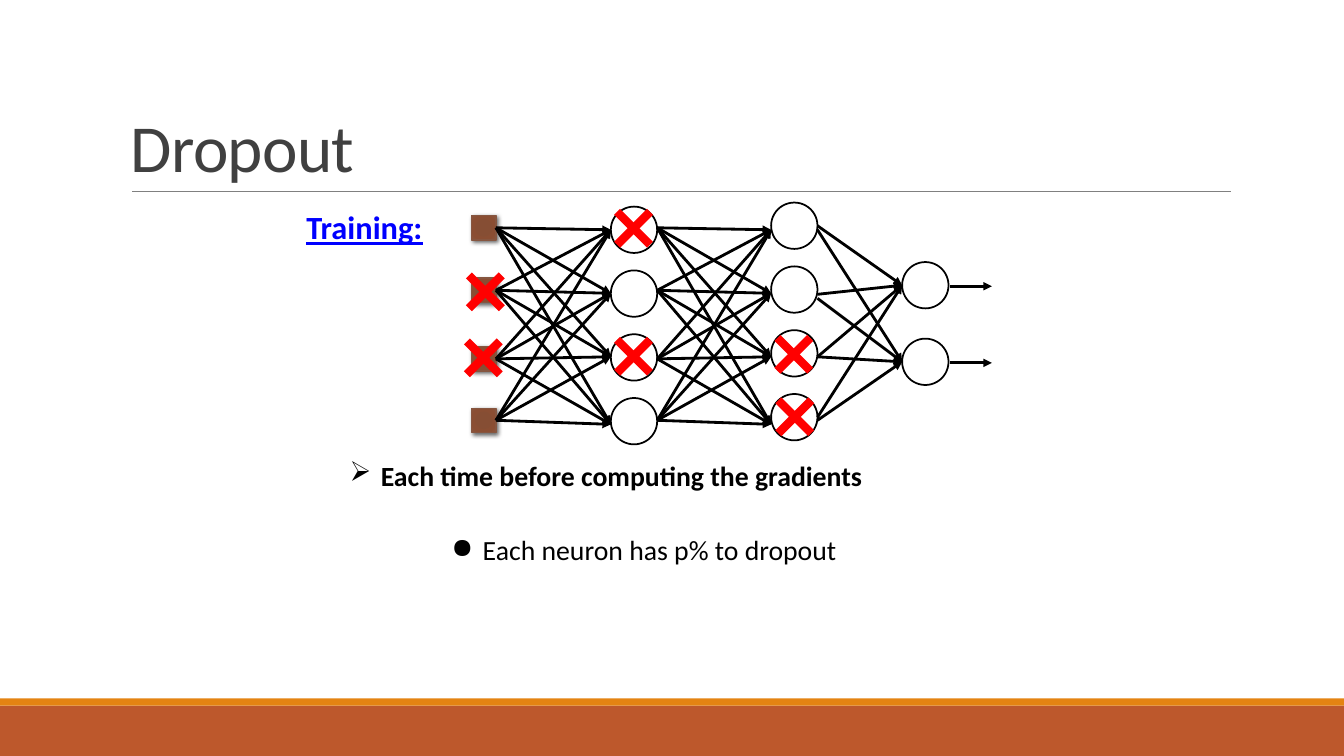
from itertools import product
from lxml.etree import SubElement
from pptx import Presentation
from pptx.dml.color import RGBColor
from pptx.enum.shapes import MSO_CONNECTOR, MSO_SHAPE
from pptx.enum.text import MSO_ANCHOR
from pptx.oxml import parse_xml
from pptx.oxml.ns import nsdecls, qn
from pptx.util import Inches, Pt

COLS, ROWS = 133.33, 75
INK = {"black": "000000", "gray": "404040", "rule": "808080", "blue": "0000FF",
       "red": "FF0000", "rust": "BD582C", "gold": "E48312", "edge": "865640"}
BROWN = {0: "874C32", 34: "864E34", 70: "8A4E33", 100: "8A553D"}


class Deck:
    """Draws on one slide; all places are columns and rows of its grid."""

    def __init__(self):
        self.file = Presentation()
        self.file.slide_width = Inches(13.33)
        self.file.slide_height = Inches(7.5)
        self.slide = self.file.slides.add_slide(self.file.slide_layouts[6])
        self.font = "Calibri"

    def x(self, col):
        return round(self.file.slide_width * col / COLS)

    def y(self, row):
        return round(self.file.slide_height * row / ROWS)

    def shape(self, kind, left, top, wide, high, fill=None, edge=None, width=1):
        item = self.slide.shapes.add_shape(
            kind, self.x(left), self.y(top), self.x(wide), self.y(high))
        item.shadow.inherit = False
        if fill:
            item.fill.solid()
            item.fill.fore_color.rgb = RGBColor.from_string(INK[fill])
        else:
            item.fill.background()
        if edge:
            item.line.color.rgb = RGBColor.from_string(INK[edge])
            item.line.width = Pt(width)
        else:
            item.line.fill.background()
        return item

    def node(self, left, top):
        return self.shape(MSO_SHAPE.OVAL, left, top, 4.6, 4.6, edge="black", width=1.25)

    def input(self, left, mid):
        """Brown square with a soft shadow, centred on row mid."""
        item = self.shape(MSO_SHAPE.RECTANGLE, left, mid - 1.2, 2.4, 2.4, edge="edge")
        props = item._element.spPr
        stops = "".join(f'<a:gs pos="{pos * 1000}"><a:srgbClr val="{ink}"/></a:gs>'
                        for pos, ink in BROWN.items())
        blend = parse_xml(
            f'<a:gradFill {nsdecls("a")}><a:gsLst>{stops}</a:gsLst><a:path path="circle">'
            '<a:fillToRect l="100000" t="100000" r="100000" b="100000"/>'
            '</a:path></a:gradFill>')
        props.replace(props.find(qn("a:noFill")), blend)
        props.find(qn("a:effectLst")).append(parse_xml(
            f'<a:outerShdw {nsdecls("a")} blurRad="{Pt(3)}" dist="{Pt(2)}" dir="2700000">'
            '<a:srgbClr val="000000"><a:alpha val="60000"/></a:srgbClr></a:outerShdw>'))
        return item

    def line(self, start, end, ink="black", width=2, head=True, owner=None):
        item = (owner or self.slide).shapes.add_connector(
            MSO_CONNECTOR.STRAIGHT, self.x(start[0]), self.y(start[1]),
            self.x(end[0]), self.y(end[1]))
        item.line.color.rgb = RGBColor.from_string(INK[ink])
        item.line.width = Pt(width)
        if head:
            SubElement(item.line._ln, qn("a:tailEnd"), type="triangle")
        SubElement(item._element.spPr, qn("a:effectLst"))
        return item

    def cross(self, col, row, arm=1.63):
        group = self.slide.shapes.add_group_shape()
        for side in (-arm, arm):
            self.line((col + side, row - arm), (col - side, row + arm),
                      "red", 6, False, group)

    def text(self, words, left, top, wide, high, size=19.8, ink="black", bold=False,
             under=False, bullet=None, anchor=MSO_ANCHOR.TOP, lead=None, track=None):
        box = self.slide.shapes.add_textbox(
            self.x(left), self.y(top), self.x(wide), self.y(high))
        frame = box.text_frame
        frame.word_wrap = True
        frame.vertical_anchor = anchor
        para = frame.paragraphs[0]
        if lead:
            para.line_spacing = lead
        if bullet:
            props = para._p.get_or_add_pPr()
            props.set("marL", str(Inches(0.31)))
            props.set("indent", str(-Inches(0.31)))
            SubElement(props, qn("a:buChar"), char=bullet)
        run = para.add_run()
        run.text = words
        font = run.font
        font.name, font.size = self.font, Pt(size)
        font.bold, font.underline = bold, under
        font.color.rgb = RGBColor.from_string(INK[ink])
        if track:
            run._r.get_or_add_rPr().set("spc", str(track))


def frame(deck):
    deck.shape(MSO_SHAPE.RECTANGLE, 0, 70, COLS, 5, "rust")
    deck.shape(MSO_SHAPE.RECTANGLE, 0, 69.3, COLS, 0.7, "gold")
    deck.line((13.1, 19), (122.1, 19), "rule", 0.5, False)
    deck.text("Dropout", 12, 3.1, 110, 15.9, size=48, ink="gray",
              anchor=MSO_ANCHOR.BOTTOM, lead=0.85, track=-50)


def network(deck):
    outs, ins = (22.6, 28.8, 35.6, 41.7), (22.8, 29.1, 35.4, 42.1)
    squares = [deck.input(46.8, row) for row in outs]
    for left, top in ((60.6, 20.5), (76.5, 20.1)):
        for rank in range(4):
            deck.node(left, top + 6.33 * rank)

    for (square, row), goal in product(zip(squares, outs), ins):
        deck.line((49.2, row), (60.6, goal)).begin_connect(square, 3)
    for row, goal in product(outs, ins):
        deck.line((65.2, row), (76.5, goal))

    tails = {28.3: (22.4, 29.2, 35.4, 41.4), 35.9: (22.8, 29.6, 35.4, 41.7)}
    for goal, rows in tails.items():
        deck.node(89.5, goal - 2.3)
        deck.line((94.2, goal + 0.1), (98.4, goal + 0.1))
        for row in rows:
            deck.line((81.1, row), (89.5, goal))

    for spot in ((62.85, 22.65), (62.85, 35.35), (78.75, 35.15), (78.85, 41.35),
                 (47.95, 35.5), (48.15, 28.95)):
        deck.cross(*spot)


def main():
    deck = Deck()
    frame(deck)
    deck.text("Training:", 29.4, 20.1, 20.9, 4.9, size=23.1, ink="blue",
              bold=True, under=True)
    network(deck)
    deck.text("Each time before computing the gradients", 33.7, 45, 74.7, 4.3,
              bold=True, bullet="➢")
    deck.text("Each neuron has p% to dropout", 43.8, 52.4, 58, 4.3, bullet="●")
    deck.file.save("out.pptx")


if __name__ == "__main__":
    main()
